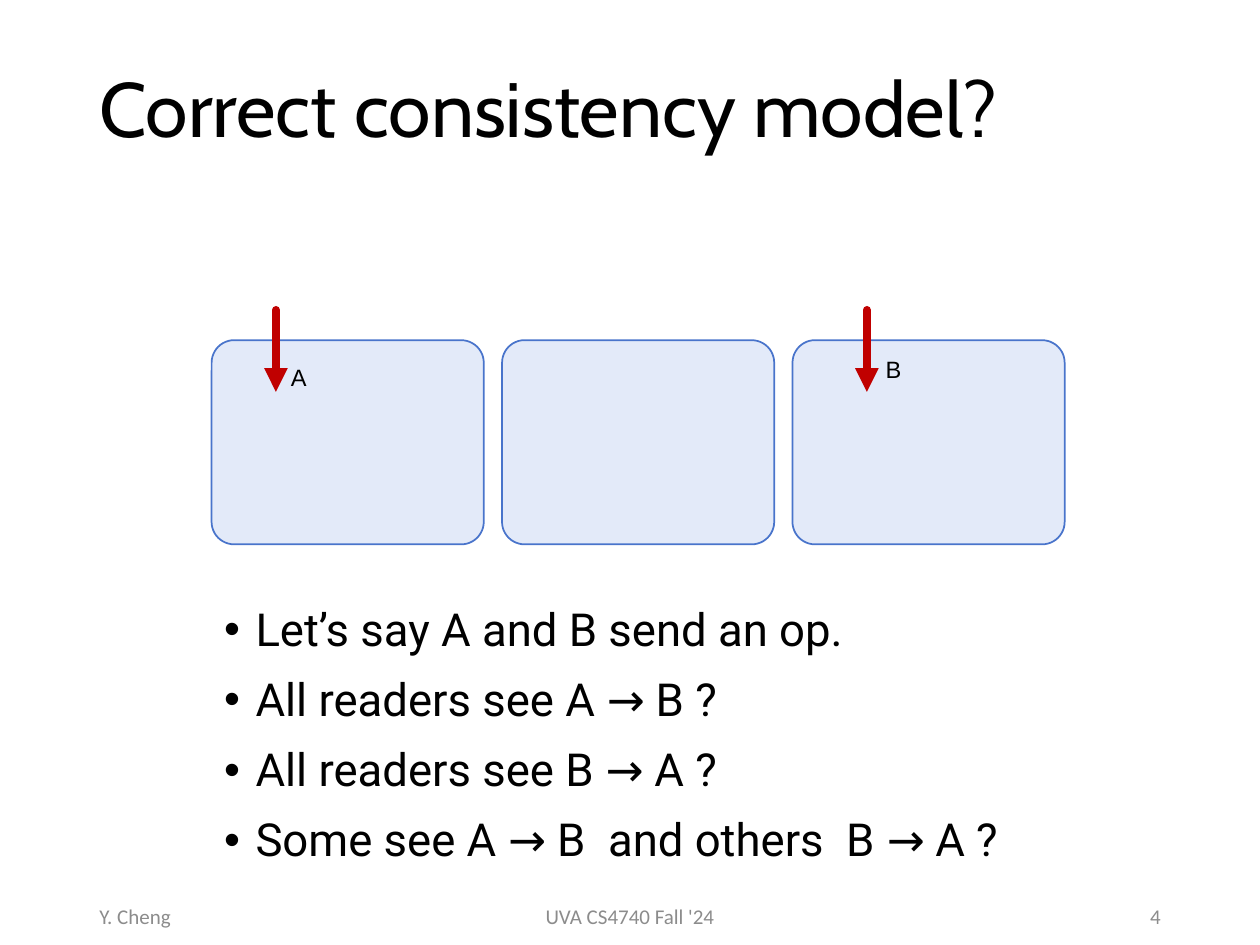
from lxml import etree
from pptx import Presentation
from pptx import util as u
from pptx.dml.color import RGBColor
from pptx.enum import shapes, text
from pptx.oxml.ns import qn

WIDTH, HEIGHT = 10, 7.5
MARGIN = 0.69
BOX_LEFT, BOX_TOP, BOX_WIDTH, BOX_HEIGHT = 1.68, 2.7, 2.16, 1.62
BOX_STEP = 2.305
ARROW_TOP, ARROW_BOTTOM = 2.46, 3.11
FOOTER_TOP, FOOTER_HEIGHT = 7.07, 0.4
QUESTIONS = [
    "Let’s say A and B send an op.",
    "All readers see A → B ?",
    "All readers see B → A ?",
    "Some see A → B  and others  B → A ?",
]


def paint(color_format, hex_color):
    color_format.rgb = RGBColor.from_string(hex_color)


def style(paragraph, size, face, color="000000"):
    paragraph.font.size = u.Pt(size)
    paragraph.font.name = face
    paint(paragraph.font.color, color)


def add_frame(slide, left, top, width, height, anchor=text.MSO_ANCHOR.TOP):
    frame = slide.shapes.add_textbox(
        u.Inches(left), u.Inches(top), u.Inches(width), u.Inches(height)
    ).text_frame
    frame.word_wrap = True
    frame.vertical_anchor = anchor
    return frame


def add_title(slide, wording):
    frame = add_frame(slide, MARGIN, 0.17, WIDTH - 2 * MARGIN, 1.45,
                      text.MSO_ANCHOR.MIDDLE)
    heading = frame.paragraphs[0]
    heading.text = wording
    heading.line_spacing = 0.9
    style(heading, 44, "Cabin")


def add_bullets(slide, items):
    frame = add_frame(slide, BOX_LEFT, 4.77, 6.77, 2.48)
    for index, item in enumerate(items):
        question = frame.add_paragraph() if index else frame.paragraphs[0]
        question.text = item
        question.line_spacing = 0.9
        question.space_before = u.Pt(6 if index else 0)
        question.space_after = u.Pt(6)
        properties = question._p.get_or_add_pPr()
        properties.set("marL", str(u.Inches(0.25)))
        properties.set("indent", str(-u.Inches(0.25)))
        etree.SubElement(properties, qn("a:buFont"), typeface="Arial")
        etree.SubElement(properties, qn("a:buChar"), char="•")
        style(question, 26, "Roboto")


def add_replica(slide, column):
    replica = slide.shapes.add_shape(
        shapes.MSO_SHAPE.ROUNDED_RECTANGLE,
        u.Inches(BOX_LEFT + column * BOX_STEP), u.Inches(BOX_TOP),
        u.Inches(BOX_WIDTH), u.Inches(BOX_HEIGHT))
    replica.adjustments[0] = 0.11
    replica.shadow.inherit = False
    replica.fill.solid()
    paint(replica.fill.fore_color, "E3EAF9")
    paint(replica.line.color, "4974CB")
    replica.line.width = u.Pt(1)


def add_operation(slide, name, arrow_x, label_left, label_top):
    arrow = slide.shapes.add_connector(
        shapes.MSO_CONNECTOR.STRAIGHT, u.Inches(arrow_x), u.Inches(ARROW_TOP),
        u.Inches(arrow_x), u.Inches(ARROW_BOTTOM))
    paint(arrow.line.color, "C00000")
    arrow.line.width = u.Pt(4.5)
    line = arrow.line._get_or_add_ln()
    line.set("cap", "rnd")
    etree.SubElement(line, qn("a:tailEnd"), type="triangle")
    etree.SubElement(arrow._element.spPr, qn("a:effectLst"))

    frame = add_frame(slide, label_left, label_top, 0.44, 0.44)
    frame.auto_size = text.MSO_AUTO_SIZE.SHAPE_TO_FIT_TEXT
    label = frame.paragraphs[0]
    label.text = name
    style(label, 13.5, "Arial")


def add_footer(slide, wording, left, width, alignment):
    frame = add_frame(slide, left, FOOTER_TOP, width, FOOTER_HEIGHT,
                      text.MSO_ANCHOR.MIDDLE)
    note = frame.paragraphs[0]
    note.text = wording
    note.alignment = alignment
    style(note, 12, "Calibri", "8C8C8C")


def main():
    deck = Presentation()
    deck.slide_width, deck.slide_height = u.Inches(WIDTH), u.Inches(HEIGHT)
    slide = deck.slides.add_slide(deck.slide_layouts[6])

    add_bullets(slide, QUESTIONS)
    add_title(slide, "Correct consistency model?")
    for column in range(3):
        add_replica(slide, column)
    add_operation(slide, "B", 6.88, 6.93, 2.77)
    add_operation(slide, "A", 2.19, 2.21, 2.83)

    align = text.PP_ALIGN
    side = 2.25
    add_footer(slide, "UVA CS4740 Fall '24", 3.31, 3.38, align.CENTER)
    add_footer(slide, "4", WIDTH - MARGIN - side, side, align.RIGHT)
    add_footer(slide, "Y. Cheng", MARGIN, side, align.LEFT)
    deck.save("out.pptx")


if __name__ == "__main__":
    main()
